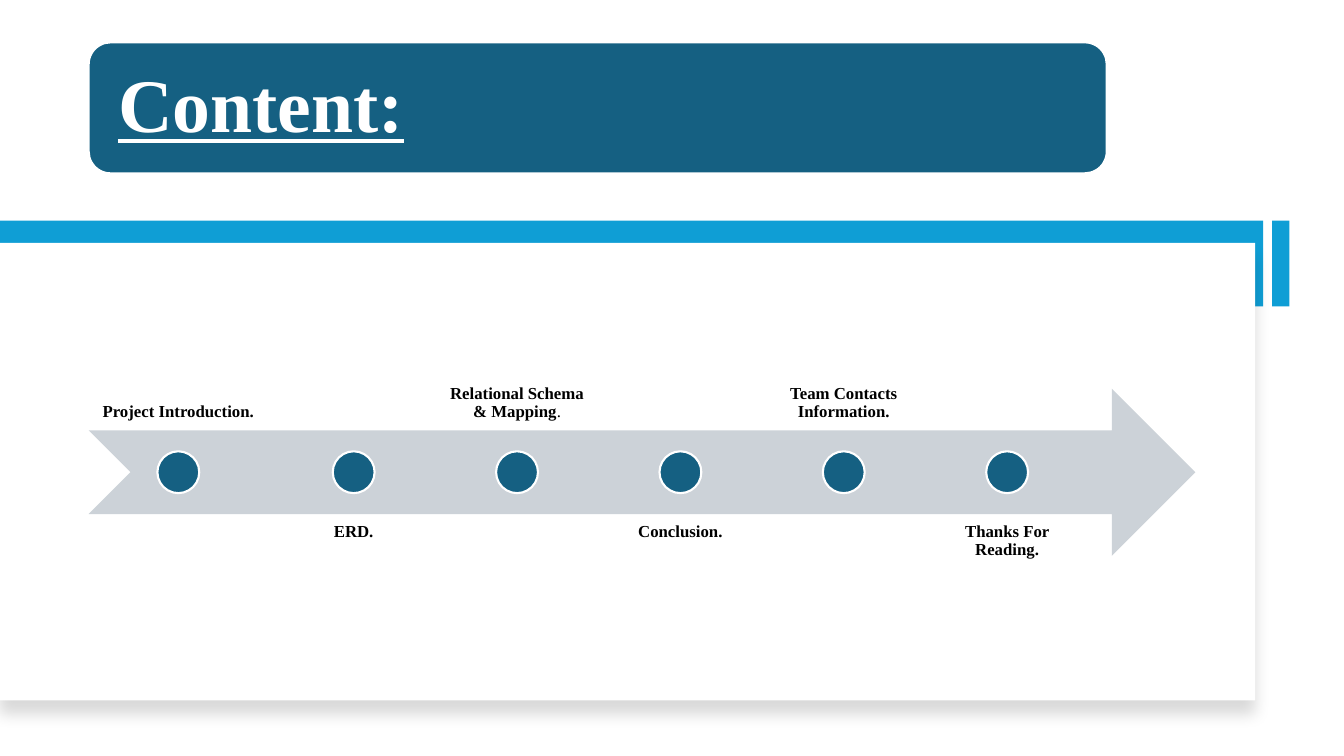
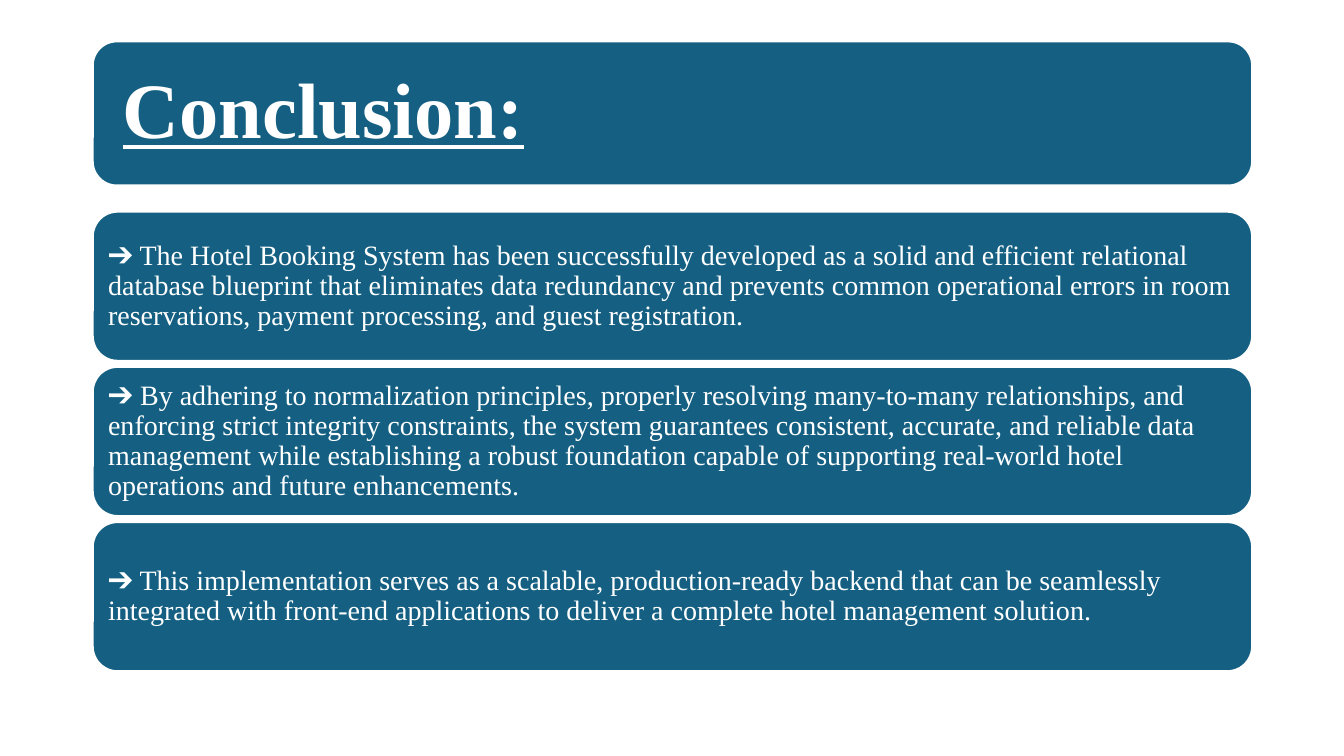
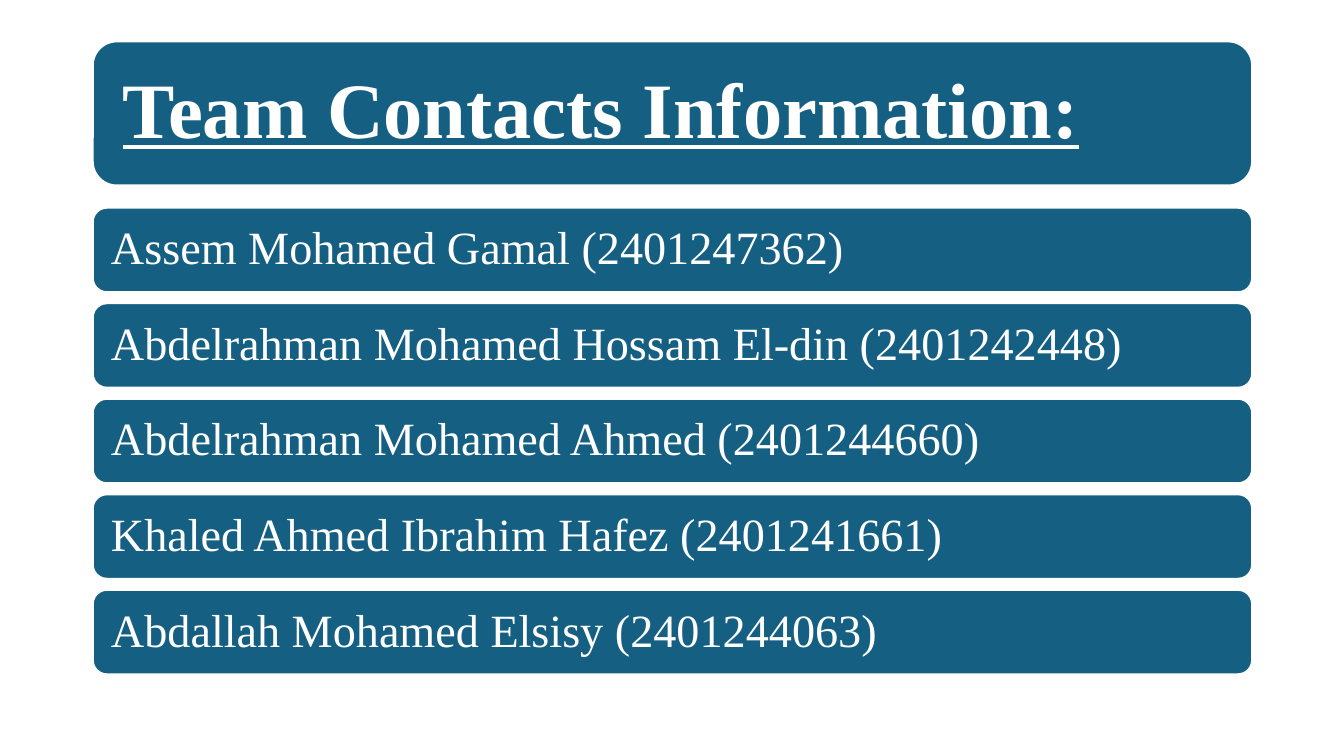
from dataclasses import dataclass

from lxml.etree import SubElement
from pptx import Presentation
from pptx.dml.color import RGBColor
from pptx.enum.shapes import MSO_SHAPE
from pptx.enum.text import MSO_ANCHOR, PP_ALIGN
from pptx.oxml.ns import qn
from pptx.util import Emu, Inches, Pt


@dataclass(frozen=True)
class Theme:
    font: str = "Times New Roman"
    teal: str = "156082"
    blue: str = "0F9ED5"
    silver: str = "CCD2D8"
    white: str = "FFFFFF"
    black: str = "000000"
    agenda_title: int = 54
    title: int = 56
    name: int = 33
    body: int = 20
    label: int = 12
    outline: float = 1.5
    title_inset: float = 0.23
    name_inset: float = 0.14
    label_inset: float = 0.09
    body_inset: float = 0.08
    line_spacing: float = 0.9


@dataclass(frozen=True)
class Box:
    left: float
    top: float
    width: float
    height: float

    def area(self, left, top, width, height):
        return Box(self.left + self.width * left / 100,
                   self.top + self.height * top / 100,
                   self.width * width / 100,
                   self.height * height / 100)

    def rows(self, count, gap):
        height = (100 - gap * (count - 1)) / count
        return [self.area(0, row * (height + gap), 100, height)
                for row in range(count)]

    def emu(self):
        return [Emu(round(length)) for length in
                (self.left, self.top, self.width, self.height)]


THEME = Theme()
CANVAS = Box(0, 0, Inches(13.33), Inches(7.5))
TITLE_AREA = CANVAS.area(6.9, 5.47, 86.27, 19.07)

AGENDA = [
    ("Project Introduction.", ""),
    ("ERD.", ""),
    ("Relational Schema & Mapping", "."),
    ("Conclusion.", ""),
    ("Team Contacts Information.", ""),
    ("Thanks For Reading.", ""),
]
CONCLUSIONS = [
    "➔ The Hotel Booking System has been successfully developed as a solid "
    "and efficient relational database blueprint that eliminates data "
    "redundancy and prevents common operational errors in room reservations, "
    "payment processing, and guest registration.",
    "➔ By adhering to normalization principles, properly resolving "
    "many-to-many relationships, and enforcing strict integrity constraints, "
    "the system guarantees consistent, accurate, and reliable data management "
    "while establishing a robust foundation capable of supporting real-world "
    "hotel operations and future enhancements.",
    "➔ This implementation serves as a scalable, production-ready backend "
    "that can be seamlessly integrated with front-end applications to deliver "
    "a complete hotel management solution.",
]
TEAM = [
    "Assem Mohamed Gamal (2401247362)",
    "Abdelrahman Mohamed Hossam El-din (2401242448)",
    "Abdelrahman Mohamed Ahmed (2401244660)",
    "Khaled Ahmed Ibrahim Hafez (2401241661)",
    "Abdallah Mohamed Elsisy (2401244063)",
]


def add_figure(slide, preset, box, fill, outlined=False):
    figure = slide.shapes.add_shape(preset, *box.emu())
    figure.shadow.inherit = False
    figure.fill.solid()
    figure.fill.fore_color.rgb = RGBColor.from_string(fill)
    if outlined:
        figure.line.color.rgb = RGBColor.from_string(THEME.white)
        figure.line.width = Pt(THEME.outline)
    else:
        figure.line.fill.background()
    return figure


def set_frame(frame, inset, anchor, align):
    frame.word_wrap = True
    frame.vertical_anchor = anchor
    frame.margin_left = frame.margin_right = Inches(inset)
    frame.margin_top = frame.margin_bottom = Inches(inset)
    paragraph = frame.paragraphs[0]
    paragraph.alignment = align
    paragraph.line_spacing = THEME.line_spacing
    return paragraph


def style_run(run, size, color, bold=False, underline=False):
    run.font.name = THEME.font
    run.font.size = Pt(size)
    run.font.color.rgb = RGBColor.from_string(color)
    run.font.bold = bold
    run.font.underline = underline


def add_card(slide, box, text, size, inset, heading=False):
    card = add_figure(slide, MSO_SHAPE.ROUNDED_RECTANGLE, box, THEME.teal, True)
    card.text_frame.text = text
    paragraph = set_frame(card.text_frame, inset, MSO_ANCHOR.MIDDLE, PP_ALIGN.LEFT)
    style_run(paragraph.runs[0], size, THEME.white, heading, heading)


def add_title(slide, box, text, size=THEME.title):
    add_card(slide, box, text, size, THEME.title_inset, heading=True)


def add_cards(slide, box, texts, gap, size, inset):
    for row, text in zip(box.rows(len(texts), gap), texts):
        add_card(slide, row, text, size, inset)


def add_soft_shadow(figure):
    effects = figure._element.spPr.find(qn("a:effectLst"))
    shadow = SubElement(effects, qn("a:outerShdw"), blurRad=str(Pt(11)),
                        dist=str(Pt(10)), dir="5400000", algn="t", rotWithShape="0")
    color = SubElement(shadow, qn("a:srgbClr"), val=THEME.black)
    SubElement(color, qn("a:alpha"), val="15000")


def add_backdrop(slide, box):
    for left, width in ((94.65, 1.28), (0, 93.98)):
        add_figure(slide, MSO_SHAPE.RECTANGLE,
                   box.area(left, 29.2, width, 11.33), THEME.blue)
    panel = add_figure(slide, MSO_SHAPE.RECTANGLE,
                       box.area(0, 32.13, 93.38, 60.53), THEME.white)
    add_soft_shadow(panel)


def add_label(slide, box, bold_text, plain_text, anchor):
    label = slide.shapes.add_textbox(*box.emu())
    paragraph = set_frame(label.text_frame, THEME.label_inset, anchor, PP_ALIGN.CENTER)
    for text, bold in ((bold_text, True), (plain_text, False)):
        if text:
            run = paragraph.add_run()
            run.text = text
            style_run(run, THEME.label, THEME.black, bold)


def add_timeline(slide, box, steps):
    first_width, step_width, gap = 16.2, 14.03, 0.73
    add_figure(slide, MSO_SHAPE.NOTCHED_RIGHT_ARROW,
               box.area(0, 30, 100, 40), THEME.silver)
    dot_width = 10 * box.height / box.width
    left = 0
    for index, (bold_text, plain_text) in enumerate(steps):
        width = step_width if index else first_width
        top, anchor = (60, MSO_ANCHOR.TOP) if index % 2 else (0, MSO_ANCHOR.BOTTOM)
        add_label(slide, box.area(left, top, width, 40), bold_text, plain_text, anchor)
        dot = box.area(left + (width - dot_width) / 2, 45, dot_width, 10)
        add_figure(slide, MSO_SHAPE.OVAL, dot, THEME.teal, True)
        left += width + gap


def build_agenda(slide):
    add_title(slide, CANVAS.area(6.6, 5.6, 75.75, 17.33), "Content:",
              THEME.agenda_title)
    add_backdrop(slide, CANVAS)
    add_timeline(slide, CANVAS.area(6.6, 34.8, 82.35, 55.33), AGENDA)


def build_conclusion(slide):
    add_title(slide, TITLE_AREA, "Conclusion:")
    add_cards(slide, CANVAS.area(6.9, 28, 86.27, 60.8), CONCLUSIONS, 1.3,
              THEME.body, THEME.body_inset)


def build_team(slide):
    add_title(slide, TITLE_AREA, "Team Contacts Information:")
    add_cards(slide, CANVAS.area(6.9, 27.47, 86.27, 61.73), TEAM, 2.35,
              THEME.name, THEME.name_inset)


def main():
    deck = Presentation()
    deck.slide_width, deck.slide_height = CANVAS.emu()[2:]
    for build in (build_agenda, build_conclusion, build_team):
        build(deck.slides.add_slide(deck.slide_layouts[6]))
    deck.save("out.pptx")


if __name__ == "__main__":
    main()
